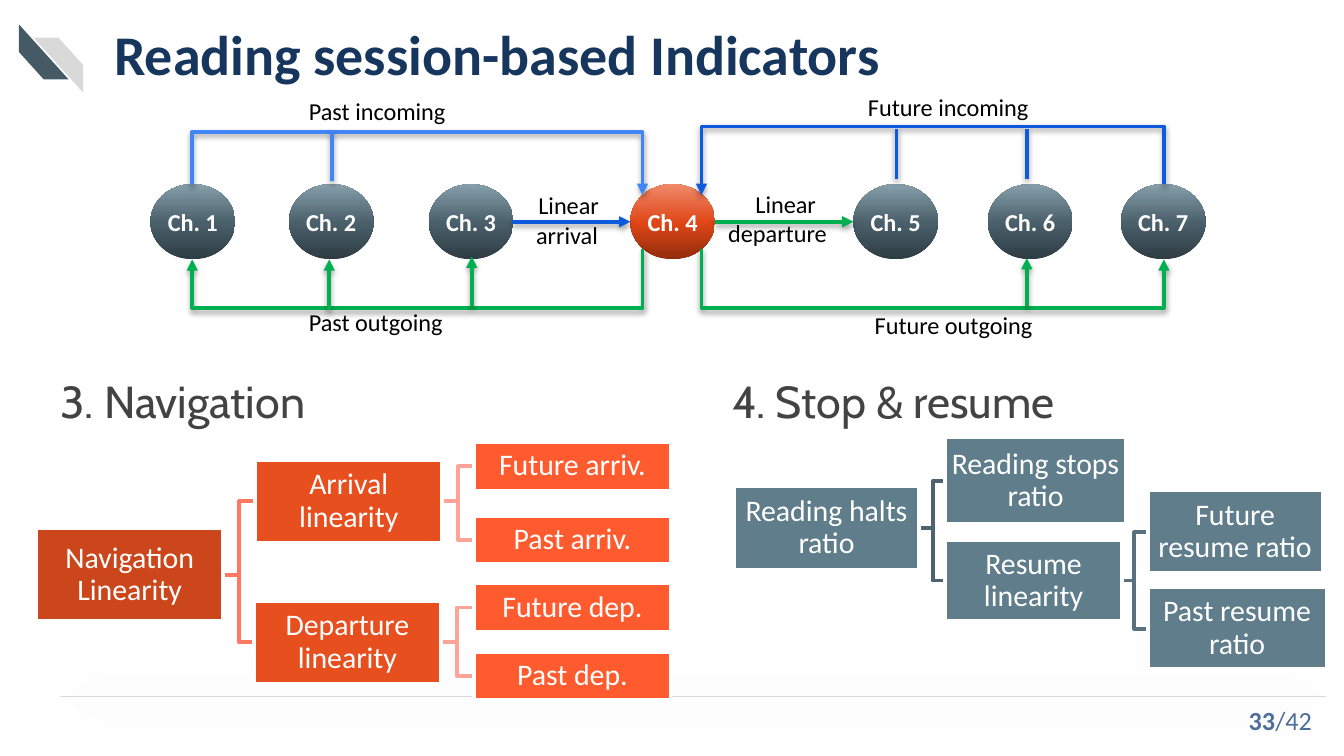
import lxml.etree
import pptx
import pptx.dml.color
import pptx.enum.shapes
import pptx.enum.text
import pptx.oxml
import pptx.oxml.ns
import pptx.util

SCALE = 9144
COLORS = {
    "title": "17365D", "heading": "434343", "text": "000000", "white": "FFFFFF",
    "page": "4E6E9A", "slate": "455A64", "light": "D9D9D9",
    "past": "4285F4", "future": "0D5BDC", "outgoing": "00B050",
    "root": "CC461B", "middle": "E74F1F", "leaf": "FF5B2E",
    "root branch": "FF7861", "leaf branch": "FFA399",
    "stop": "607D8B", "stop branch": "4D646F", "resume branch": "57717E",
}
GRADIENTS = {
    "slate": [(0, "2E3C43"), (48, "495F6A"), (100, "869FAB")],
    "orange": [(0, "912D0E"), (48, "DF4516"), (100, "F08A6A")],
}
NAMESPACE = pptx.oxml.ns.nsdecls("a")
PRESETS = pptx.enum.shapes.MSO_SHAPE
CONNECTORS = pptx.enum.shapes.MSO_CONNECTOR
LEFT = pptx.enum.text.PP_ALIGN.LEFT
CENTER = pptx.enum.text.PP_ALIGN.CENTER
RIGHT = pptx.enum.text.PP_ALIGN.RIGHT
TOP = pptx.enum.text.MSO_ANCHOR.TOP
MIDDLE = pptx.enum.text.MSO_ANCHOR.MIDDLE


def px(*lengths):
    return [round(length * SCALE) for length in lengths]


def rgb(name):
    return pptx.dml.color.RGBColor.from_string(COLORS[name])


class SlideBuilder:
    font = "Calibri"
    line_width = 2

    def __init__(self, slide):
        self.slide = slide
        self.shapes = slide.shapes

    def label(self, shape, lines, size, color, bold=False, aligns=(LEFT,), anchor=TOP,
              insets=(10, 5, 10, 5), wrap=True, font=None, spacing=None):
        frame = shape.text_frame
        frame.word_wrap = wrap
        frame.vertical_anchor = anchor
        (frame.margin_left, frame.margin_top,
         frame.margin_right, frame.margin_bottom) = px(*insets)
        frame.text = "\n".join(lines)
        for index, paragraph in enumerate(frame.paragraphs):
            paragraph.alignment = aligns[min(index, len(aligns) - 1)]
            paragraph.line_spacing = spacing
            paragraph.font.name = font or self.font
            paragraph.font.size = pptx.util.Pt(size)
            paragraph.font.bold = bold
            paragraph.font.color.rgb = rgb(color)
        return frame

    def text(self, box, lines, size, color, **style):
        return self.label(self.shapes.add_textbox(*px(*box)), lines, size, color, **style)

    def preset(self, kind, box, color=None, outline=None):
        shape = self.shapes.add_shape(kind, *px(*box))
        shape.shadow.inherit = False
        if color:
            shape.fill.solid()
            shape.fill.fore_color.rgb = rgb(color)
        if outline:
            shape.line.color.rgb = rgb(outline)
            shape.line.width = pptx.util.Pt(self.line_width)
        else:
            shape.line.fill.background()
        return shape

    def chapter(self, x, name, gradient):
        shape = self.preset(PRESETS.FLOWCHART_CONNECTOR, (x, 137, 63, 56))
        shape.fill.gradient()
        fill = shape._element.spPr.find(pptx.oxml.ns.qn("a:gradFill"))
        stops = "".join(f'<a:gs pos="{position * 1000}"><a:srgbClr val="{color}"/></a:gs>'
                        for position, color in GRADIENTS[gradient])
        fill.getparent().replace(fill, pptx.oxml.parse_xml(
            f'<a:gradFill {NAMESPACE} rotWithShape="1"><a:gsLst>{stops}</a:gsLst>'
            '<a:lin ang="16200000" scaled="0"/></a:gradFill>'))
        self.label(shape, [name], 13, "white", bold=True, aligns=(CENTER,),
                   anchor=MIDDLE, insets=(0, 0, 0, 0))

    def connect(self, start, end, color, arrow=True, kind=CONNECTORS.STRAIGHT,
                width=2, shadow=(38, 3.1, 1.6)):
        connector = self.shapes.add_connector(kind, *px(*start, *end))
        connector.line.color.rgb = rgb(color)
        connector.line.width = pptx.util.Pt(width)
        if arrow:
            lxml.etree.SubElement(connector.line._get_or_add_ln(),
                                  pptx.oxml.ns.qn("a:tailEnd"), type="triangle")
        alpha, blur, distance = shadow
        connector._element.spPr.append(pptx.oxml.parse_xml(
            f'<a:effectLst {NAMESPACE}><a:outerShdw blurRad="{round(blur * 12700)}" '
            f'dist="{round(distance * 12700)}" dir="5400000" rotWithShape="0">'
            f'<a:srgbClr val="000000"><a:alpha val="{alpha * 1000}"/></a:srgbClr>'
            '</a:outerShdw></a:effectLst>'))
        return connector

    def bus(self, start, end, bus_y, color):
        connector = self.connect(start, end, color, kind=CONNECTORS.ELBOW)
        (x1, y1), (x2, y2) = start, end
        width, height = y2 - y1, abs(x2 - x1)
        connector.left, connector.top, connector.width, connector.height = px(
            (x1 + x2 - width) / 2, (y1 + y2 - height) / 2, width, height)
        properties = connector._element.spPr
        transform = properties.find(pptx.oxml.ns.qn("a:xfrm"))
        transform.attrib.pop("flipH", None)
        if x2 > x1:
            transform.set("rot", "16200000")
            transform.set("flipH", "1")
        else:
            transform.set("rot", "5400000")
        geometry = properties.find(pptx.oxml.ns.qn("a:prstGeom"))
        adjustments = geometry.get_or_add_avLst()
        lxml.etree.SubElement(adjustments, pptx.oxml.ns.qn("a:gd"), name="adj1",
                              fmla=f"val {round((bus_y - y1) / width * 100000)}")

    def branch(self, parent, child, color):
        x1, y1 = parent[0] + parent[2], parent[1] + parent[3] / 2
        x2, y2 = child[0], child[1] + child[3] / 2
        middle = (x1 + x2) / 2
        builder = self.shapes.build_freeform(x1, y1, scale=SCALE)
        builder.add_line_segments([(middle, y1), (middle, y2), (x2, y2)], close=False)
        shape = builder.convert_to_shape()
        shape.shadow.inherit = False
        shape.fill.background()
        shape.line.color.rgb = rgb(color)
        shape.line.width = pptx.util.Pt(self.line_width)

    def tree(self, name, box, color, branch_color=None, children=()):
        for child in children:
            self.branch(box, child[1], branch_color)
        for child in children:
            self.tree(*child)
        shape = self.preset(PRESETS.RECTANGLE, box, color, "white")
        self.label(shape, [name], 16, "white", aligns=(CENTER,), anchor=MIDDLE,
                   insets=(1, 1, 1, 1), spacing=0.9)


def main():
    presentation = pptx.Presentation()
    presentation.slide_width, presentation.slide_height = px(1000, 562.5)
    builder = SlideBuilder(presentation.slides.add_slide(presentation.slide_layouts[6]))

    builder.preset(PRESETS.DIAGONAL_STRIPE, (12, 20, 41, 37), "slate").rotation = 270
    stripe = builder.preset(PRESETS.DIAGONAL_STRIPE, (25, 28, 37, 41), "light")
    stripe._element.spPr.find(pptx.oxml.ns.qn("a:xfrm")).set("flipH", "1")
    builder.connect((987, 518), (45, 518), "light", arrow=False, width=0.5, shadow=(39, 31, 0))
    builder.text((85, 8, 894, 63), ["Reading session-based Indicators"], 30, "title",
                 bold=True, anchor=MIDDLE, insets=(0, 0, 0, 0))
    for x, heading in ((27, "3. Navigation"), (527, "4. Stop & resume")):
        builder.text((x, 262, 445, 60), [heading], 24, "heading", font="Cabin",
                     insets=(18, 10, 10, 10), spacing=1.15)

    for number, x in enumerate((112, 215, 319, 469, 635, 735, 834), 1):
        builder.chapter(x, f"Ch. {number}", "orange" if number == 4 else "slate")

    builder.bus((143, 137), (478, 145), 98, "past")
    builder.bus((478, 185), (143, 193), 229, "outgoing")
    builder.bus((866, 137), (522, 145), 94, "future")
    builder.bus((522, 185), (866, 193), 229, "outgoing")
    for x, top, bottom, color in ((247, 97, 135, "past"), (667, 96, 133, "future"),
                                  (764, 96, 133, "future")):
        builder.connect((x, top), (x, bottom), color, arrow=False)
    for x, bottom, top in ((245, 231, 193), (351, 228, 191), (764, 228, 192)):
        builder.connect((x, bottom), (x, top), "outgoing")
    builder.connect((381, 165), (469, 165), "future")
    builder.connect((532, 165), (635, 165), "outgoing")

    for box, caption in (((220, 67, 138, 35), "Past incoming"),
                         ((220, 224, 136, 35), "Past outgoing"),
                         ((636, 64, 158, 35), "Future incoming"),
                         ((641, 226, 155, 33), "Future outgoing")):
        builder.text(box, [caption], 13, "text", wrap=False)
    for box, word in (((389, 137, 68, 54), "arrival"), ((532, 136, 105, 54), "departure")):
        builder.text(box, ["Linear", word], 13, "text", aligns=(CENTER, LEFT),
                     wrap=word == "departure")

    builder.tree("Navigation Linearity", (27, 393, 139, 69), "root", "root branch", [
        ("Arrival\vlinearity", (190, 342, 139, 62), "middle", "leaf branch", [
            ("Future arriv.", (353, 329, 146, 36), "leaf"),
            ("Past arriv.", (353, 384, 146, 36), "leaf")]),
        ("Departure linearity", (189, 447, 139, 62), "middle", "leaf branch", [
            ("Future dep.", (353, 434, 146, 36), "leaf"),
            ("Past dep.", (353, 485, 146, 36), "leaf")])])
    builder.tree("Reading halts ratio", (546, 362, 138, 62), "stop", "stop branch", [
        ("Reading stops ratio", (703, 325, 135, 65), "stop"),
        ("Resume linearity", (703, 402, 132, 60), "stop", "resume branch", [
            ("Future resume ratio", (854, 365, 130, 61), "stop"),
            ("Past resume ratio", (854, 437, 133, 61), "stop")])])

    page = builder.text((706, 521, 280, 30), ["33"], 14, "page", bold=True,
                        aligns=(RIGHT,), anchor=MIDDLE)
    total = page.paragraphs[0].add_run()
    total.text = "/42"
    total.font.bold = False

    presentation.save("out.pptx")


if __name__ == "__main__":
    main()
